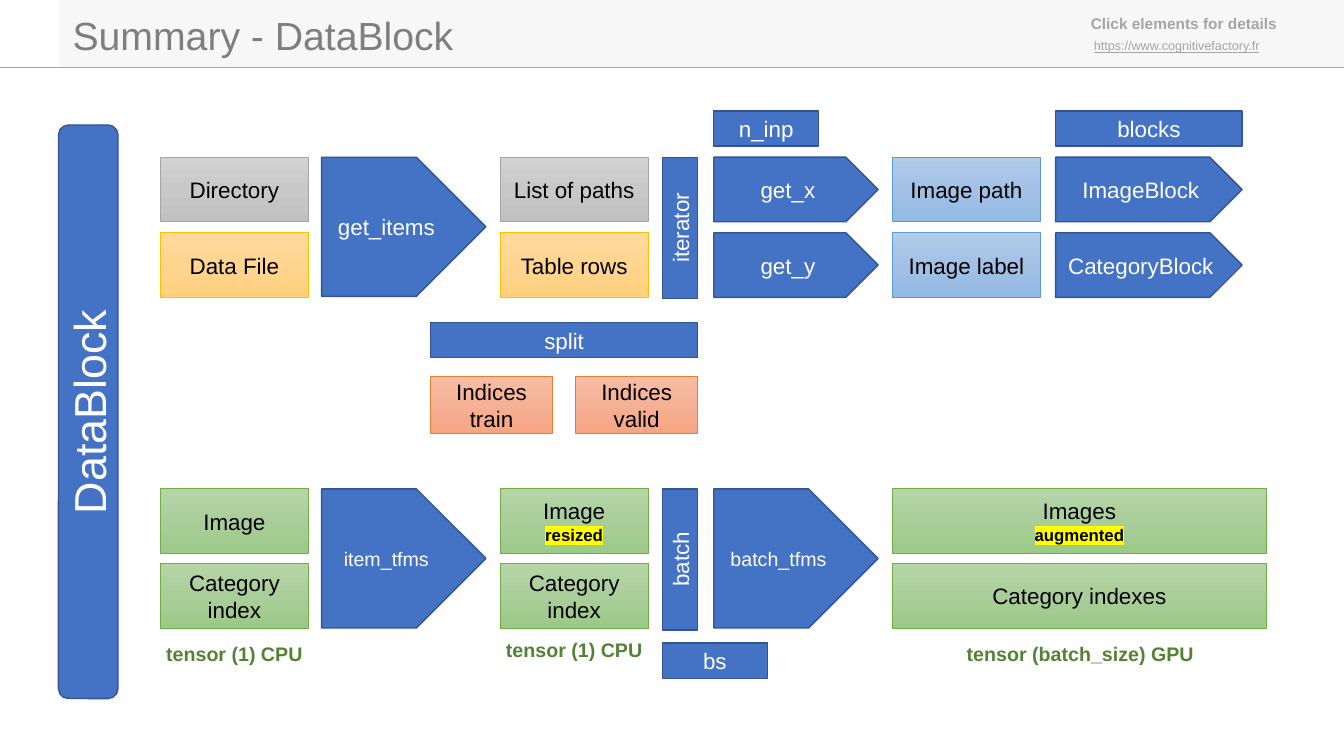
from copy import deepcopy

from lxml import etree
from pptx import Presentation
from pptx.dml.color import RGBColor
from pptx.enum.shapes import MSO_CONNECTOR, MSO_SHAPE
from pptx.enum.text import MSO_ANCHOR, MSO_AUTO_SIZE, PP_ALIGN
from pptx.oxml.ns import qn
from pptx.util import Emu, Pt

RECT = MSO_SHAPE.RECTANGLE
ROUND = MSO_SHAPE.ROUNDED_RECTANGLE
ARROW = MSO_SHAPE.PENTAGON
STRAIGHT = MSO_CONNECTOR.STRAIGHT
LEFT, CENTER = PP_ALIGN.LEFT, PP_ALIGN.CENTER
TOP, MIDDLE = MSO_ANCHOR.TOP, MSO_ANCHOR.MIDDLE
NO_FIT = MSO_AUTO_SIZE.NONE

SLIDE_WIDTH, SLIDE_HEIGHT = 1333, 750
BLUE, BLUE_LINE, WHITE, BLACK = "4472C4", "325491", "FFFFFF", "000000"
GRAY, GREEN_TEXT, YELLOW = "A5A5A5", "548235", "FFFF00"

DATA_STYLES = {
    "folder": (("D2D2D2", "C8C8C8", "C0C0C0"), "A5A5A5"),
    "table": (("FFDB9E", "FFD590", "FFD07C"), "FFC000"),
    "item": (("B1CBE9", "A3C1E5", "93B9E4"), "5B9BD5"),
    "tensor": (("B5D5A7", "AACE9A", "9CC987"), "70AD47"),
    "index": (("F7BDA5", "F5B196", "F8A582"), "ED7D31"),
}

COLUMNS = {
    "source": (159, 147), "collect": (319, 163), "listed": (496, 147),
    "extract": (708, 163), "value": (885, 147), "convert": (1047, 185),
    "batched": (885, 371), "train": (427, 121), "valid": (571, 121),
    "split": (427, 265), "inputs": (708, 104), "size": (657, 104),
}
ROWS = {
    "options": (110, 35), "x": (156, 64), "y": (231, 64), "xy": (156, 138),
    "split": (320, 35), "indices": (373, 57),
    "image": (485, 64), "category": (559, 64), "both": (485, 138), "size": (638, 35),
}

DATA_BOXES = [
    ("Directory", "folder", "source", "x"),
    ("Data File", "table", "source", "y"),
    ("List of paths", "folder", "listed", "x"),
    ("Table rows", "table", "listed", "y"),
    ("Image path", "item", "value", "x"),
    ("Image label", "item", "value", "y"),
    ("Indices train", "index", "train", "indices"),
    ("Indices valid", "index", "valid", "indices"),
    ("Image", "tensor", "source", "image"),
    ("Category index", "tensor", "source", "category"),
    ("Image\nresized", "tensor", "listed", "image"),
    ("Category index", "tensor", "listed", "category"),
    ("Images\naugmented", "tensor", "batched", "image"),
    ("Category indexes", "tensor", "batched", "category"),
]
STEPS = [
    ("get_items", ARROW, "collect", "xy", 16),
    ("get_x", ARROW, "extract", "x", 16),
    ("get_y", ARROW, "extract", "y", 16),
    ("ImageBlock", ARROW, "convert", "x", 16),
    ("CategoryBlock", ARROW, "convert", "y", 16),
    ("item_tfms", ARROW, "collect", "both", 14),
    ("batch_tfms", ARROW, "extract", "both", 14),
    ("n_inp", RECT, "inputs", "options", 16),
    ("blocks", RECT, "convert", "options", 16),
    ("split", RECT, "split", "split", 16),
    ("bs", RECT, "size", "size", 16),
]
VERTICAL_BARS = [
    ("DataBlock", ROUND, (58, 124, 59, 569), 32),
    ("iterator", RECT, (657, 156, 35, 140), 16),
    ("batch", RECT, (657, 485, 35, 140), 16),
]
LABELS = [
    ("Click elements for details", (1072, 9, 212, 29), dict(size=11, color=GRAY, bold=True)),
    ("https://www.cognitivefactory.fr", (1075, 33, 209, 25),
     dict(size=9, color=GRAY, underline=True)),
    ("tensor (1) CPU", (155, 632, 156, 34), dict(size=14, color=GREEN_TEXT, bold=True)),
    ("tensor (1) CPU", (492, 628, 156, 34), dict(size=14, color=GREEN_TEXT, bold=True)),
    ("tensor (batch_size) GPU", (949, 632, 246, 34),
     dict(size=14, color=GREEN_TEXT, bold=True)),
]


def px(value):
    return Emu(round(value * 9144))


def rgb(value):
    return RGBColor.from_string(value)


def write_text(frame, text, size=16, color=BLACK, bold=False, underline=False,
               align=LEFT, anchor=TOP, wrap=True):
    frame.auto_size = NO_FIT
    frame.word_wrap = wrap
    frame.vertical_anchor = anchor
    for number, line in enumerate(text.split("\n")):
        marked = number > 0
        para = frame.add_paragraph() if marked else frame.paragraphs[0]
        para.alignment = align
        span = para.add_run()
        span.text = line
        font = span.font
        font.name = "Arial"
        font.size = Pt(12 if marked else size)
        font.bold = bold or marked
        font.underline = underline
        font.color.rgb = rgb(color)
        if marked:
            highlight = etree.Element(qn("a:highlight"))
            etree.SubElement(highlight, qn("a:srgbClr"), val=YELLOW)
            span._r.rPr.find(qn("a:solidFill")).addnext(highlight)


def add_box(page, kind, place, fill, line=None, line_width=1):
    box = page.shapes.add_shape(kind, *map(px, place))
    box.shadow.inherit = False
    if isinstance(fill, tuple):
        box.fill.gradient()
        box.fill.gradient_angle = 270
        stops = box._element.spPr.find(".//" + qn("a:gsLst"))
        stops.insert(1, deepcopy(stops[0]))
        for stop, position, color in zip(box.fill.gradient_stops, (0, 0.5, 1), fill):
            stop.position = position
            stop.color.rgb = rgb(color)
    else:
        box.fill.solid()
        box.fill.fore_color.rgb = rgb(fill)
    if line:
        box.line.color.rgb = rgb(line)
        box.line.width = Pt(line_width)
    else:
        box.line.fill.background()
    return box


def cell(column, row):
    left, width = COLUMNS[column]
    top, height = ROWS[row]
    return left, top, width, height


def add_header(page):
    add_box(page, RECT, (59, 0, SLIDE_WIDTH - 59, 67), "F7F7F7")
    rule = page.shapes.add_connector(STRAIGHT, 0, px(67), px(SLIDE_WIDTH), px(67))
    rule.line.color.rgb = rgb(GRAY)
    rule.line.width = Pt(0.5)
    etree.SubElement(rule._element.spPr, qn("a:effectLst"))
    title = page.shapes.title
    title.left, title.top, title.width, title.height = map(px, (62, 6, 403, 57))
    write_text(title.text_frame, "Summary - DataBlock", size=28, color="7F7F7F", wrap=False)
    page.shapes._spTree.append(title._element)


def main():
    deck = Presentation()
    deck.slide_width, deck.slide_height = px(SLIDE_WIDTH), px(SLIDE_HEIGHT)
    page = deck.slides.add_slide(deck.slide_layouts[5])
    add_header(page)
    for text, style, column, row in DATA_BOXES:
        fill, line = DATA_STYLES[style]
        box = add_box(page, RECT, cell(column, row), fill, line, 0.5)
        write_text(box.text_frame, text, align=CENTER, anchor=MIDDLE)
    for text, kind, column, row, size in STEPS:
        box = add_box(page, kind, cell(column, row), BLUE, BLUE_LINE)
        write_text(box.text_frame, text, size=size, color=WHITE, align=CENTER, anchor=MIDDLE)
    for text, kind, (left, top, width, height), size in VERTICAL_BARS:
        shift = (height - width) / 2
        box = add_box(page, kind, (left - shift, top + shift, height, width), BLUE, BLUE_LINE)
        box.rotation = 270
        write_text(box.text_frame, text, size=size, color=WHITE, align=CENTER, anchor=MIDDLE)
    for text, place, style in LABELS:
        label = page.shapes.add_textbox(*map(px, place))
        write_text(label.text_frame, text, wrap=False, **style)
    deck.save("out.pptx")


if __name__ == "__main__":
    main()
